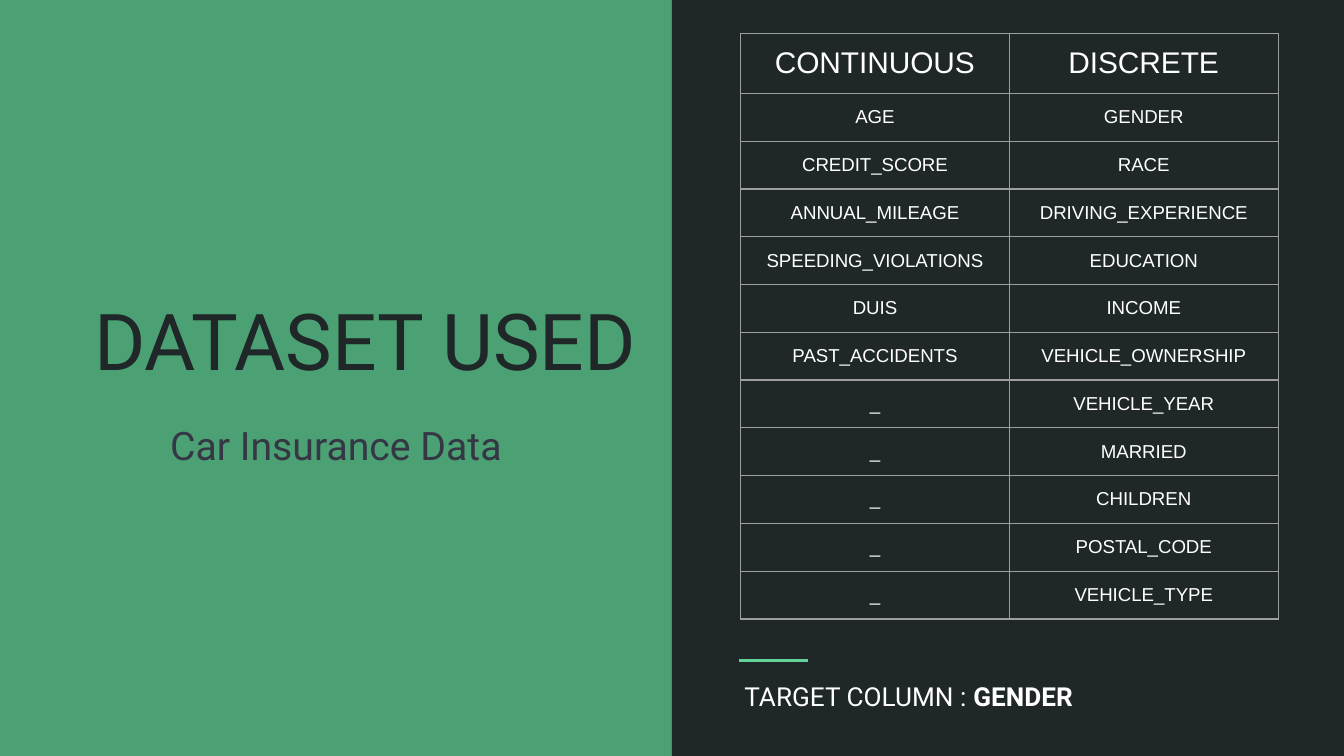
from lxml.etree import SubElement
from pptx import Presentation
from pptx.dml.color import RGBColor
from pptx.enum.shapes import MSO_CONNECTOR, MSO_SHAPE
from pptx.enum.text import MSO_ANCHOR, PP_ALIGN
from pptx.oxml.ns import qn
from pptx.util import Inches, Pt

WIDTH = 10
HEIGHT = WIDTH * 9 / 16
GREEN, DARK, SLATE = "4BA173", "202729", "353744"
ACCENT, WHITE, GRID = "63D297", "FFFFFF", "9E9E9E"
HEADER_ROW, BODY_ROW = 0.38, 0.3  # least heights, rows grow to fit their text
INSET = Inches(0.1)

CONTINUOUS = ["AGE", "CREDIT_SCORE", "ANNUAL_MILEAGE", "SPEEDING_VIOLATIONS",
              "DUIS", "PAST_ACCIDENTS"]
DISCRETE = ["GENDER", "RACE", "DRIVING_EXPERIENCE", "EDUCATION", "INCOME",
            "VEHICLE_OWNERSHIP", "VEHICLE_YEAR", "MARRIED", "CHILDREN",
            "POSTAL_CODE", "VEHICLE_TYPE"]


def color(value):
    return RGBColor.from_string(value)


def add_run(paragraph, text, size, font, fill, bold=False):
    run = paragraph.add_run()
    run.text = text
    run.font.size = Pt(size)
    run.font.name = font
    run.font.bold = bold
    run.font.color.rgb = color(fill)


def add_text(slide, box, align, anchor=MSO_ANCHOR.TOP):
    """Add an empty text box and return its paragraph."""
    frame = slide.shapes.add_textbox(*map(Inches, box)).text_frame
    frame.word_wrap = True
    frame.vertical_anchor = anchor
    frame.margin_left = frame.margin_right = INSET
    frame.margin_top = frame.margin_bottom = INSET
    paragraph = frame.paragraphs[0]
    paragraph.alignment = align
    return paragraph


def border_cell(cell):
    properties = cell._tc.get_or_add_tcPr()
    for position, side in enumerate(("a:lnL", "a:lnR", "a:lnT", "a:lnB")):
        line = properties.makeelement(qn(side), {"w": str(Pt(0.75))})
        fill = SubElement(line, qn("a:solidFill"))
        SubElement(fill, qn("a:srgbClr"), val=GRID)
        properties.insert(position, line)


def fill_cell(cell, text, size):
    cell.fill.background()
    cell.vertical_anchor = MSO_ANCHOR.MIDDLE
    cell.margin_left = cell.margin_right = INSET
    cell.margin_top = cell.margin_bottom = INSET
    paragraph = cell.text_frame.paragraphs[0]
    paragraph.alignment = PP_ALIGN.CENTER
    add_run(paragraph, text, size, "Arial", WHITE)
    border_cell(cell)


def add_columns_table(slide, left, top, width):
    rows = [("CONTINUOUS", "DISCRETE")]
    for index, discrete in enumerate(DISCRETE):
        continuous = CONTINUOUS[index] if index < len(CONTINUOUS) else "_"
        rows.append((continuous, discrete))
    height = HEADER_ROW + BODY_ROW * len(DISCRETE)
    table = slide.shapes.add_table(
        len(rows), 2, *map(Inches, (left, top, width, height))).table
    table.first_row = table.horz_banding = False
    for column in table.columns:
        column.width = Inches(width / 2)
    for index, texts in enumerate(rows):
        is_header = index == 0
        table.rows[index].height = Inches(HEADER_ROW if is_header else BODY_ROW)
        for cell, text in zip(table.rows[index].cells, texts):
            fill_cell(cell, text, 16 if is_header else 10)


def add_title_half(slide, left, top, width, height):
    # Title sits just above the middle, subtitle just below it
    title = add_text(slide, (left + 0.042 * width, top + 0.235 * height,
                             0.924 * width, 0.293 * height),
                     PP_ALIGN.RIGHT, MSO_ANCHOR.BOTTOM)
    add_run(title, "DATASET USED", 42, "Roboto", DARK)
    subtitle = add_text(slide, (left + 0.058 * width, top + 0.539 * height,
                                0.884 * width, 0.262 * height), PP_ALIGN.CENTER)
    add_run(subtitle, "Car Insurance Data", 21, "Roboto", SLATE)


def add_data_half(slide, left, top, width, height):
    # Dark panel
    panel = slide.shapes.add_shape(
        MSO_SHAPE.RECTANGLE, *map(Inches, (left, top, width, height)))
    panel.shadow.inherit = False
    panel.fill.solid()
    panel.fill.fore_color.rgb = color(DARK)
    panel.line.fill.background()

    # Accent rule
    rule_left, rule_top = left + 0.1 * width, top + 0.874 * height
    rule = slide.shapes.add_connector(
        MSO_CONNECTOR.STRAIGHT, Inches(rule_left), Inches(rule_top),
        Inches(rule_left + 0.102 * width), Inches(rule_top))
    rule.line.color.rgb = color(ACCENT)
    rule.line.width = Pt(1.5)
    SubElement(rule._element.spPr, qn("a:effectLst"))

    # Table of columns and the target below it
    add_columns_table(slide, left + 0.102 * width, top + 0.044 * height,
                      0.8 * width)
    target = add_text(slide, (left + 0.088 * width, top + 0.882 * height,
                              0.8 * width, 0.078 * height), PP_ALIGN.LEFT)
    add_run(target, "TARGET COLUMN : ", 14, "Roboto", WHITE)
    add_run(target, "GENDER", 14, "Roboto", WHITE, bold=True)


def main():
    presentation = Presentation()
    presentation.slide_width = Inches(WIDTH)
    presentation.slide_height = Inches(HEIGHT)
    slide = presentation.slides.add_slide(presentation.slide_layouts[6])
    slide.background.fill.solid()
    slide.background.fill.fore_color.rgb = color(GREEN)
    half = WIDTH / 2
    add_data_half(slide, half, 0, half, HEIGHT)
    add_title_half(slide, 0, 0, half, HEIGHT)
    presentation.save("out.pptx")


if __name__ == "__main__":
    main()
